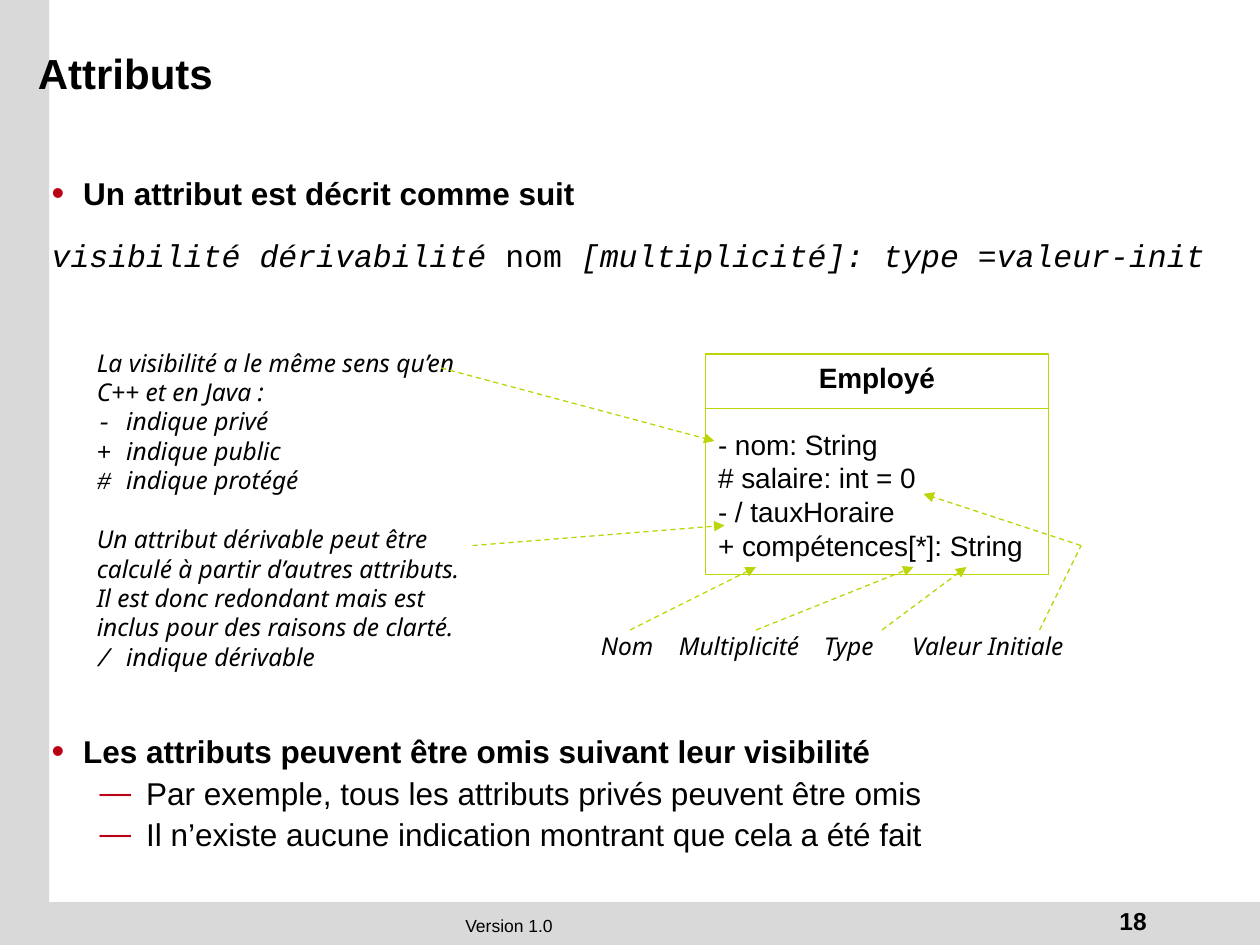
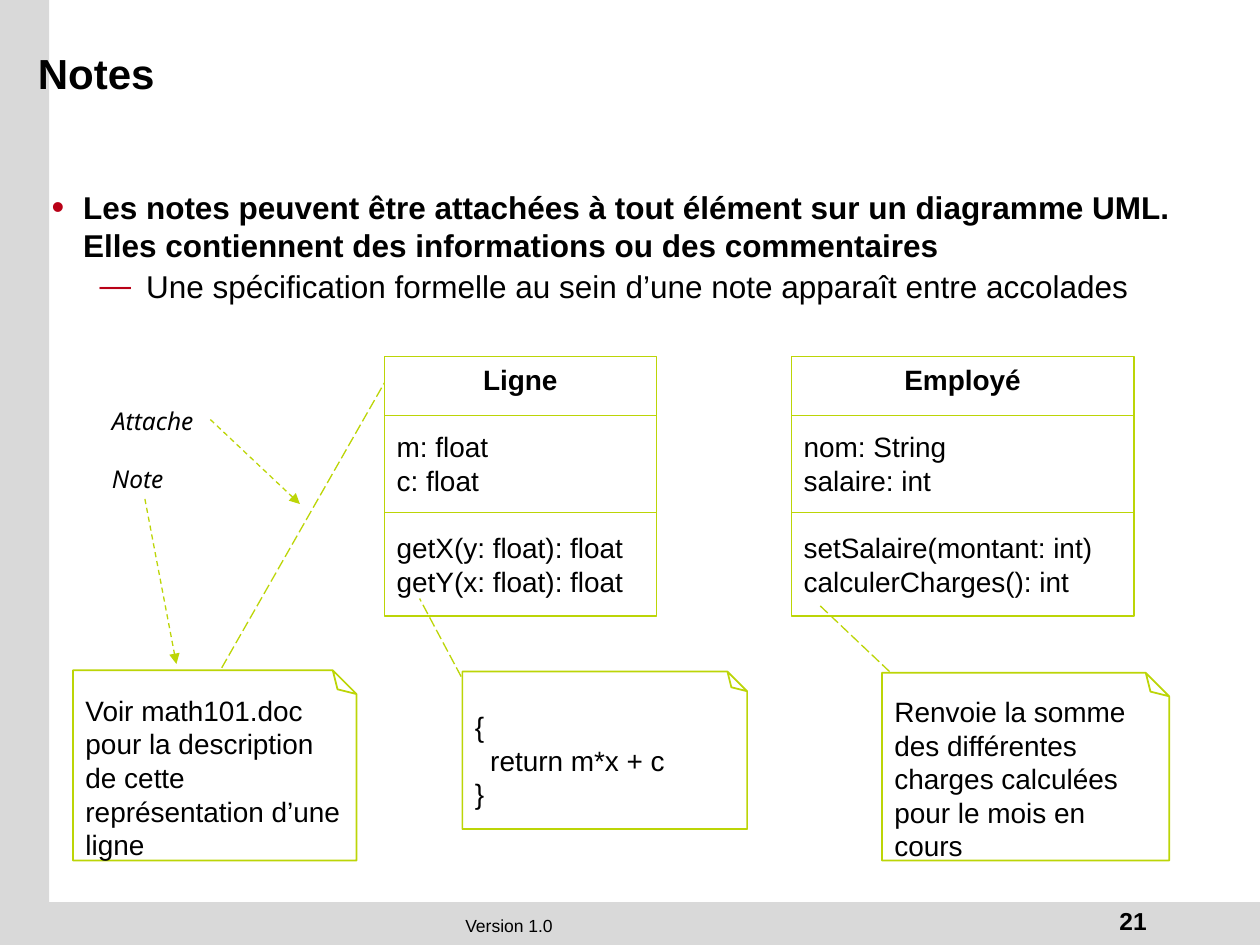
"""Build two French UML lesson slides: attributes and notes."""
from lxml import etree
from pptx import Presentation
from pptx.dml.color import RGBColor
from pptx.enum.dml import MSO_LINE
from pptx.enum.shapes import MSO_CONNECTOR, MSO_SHAPE
from pptx.enum.text import MSO_ANCHOR, MSO_AUTO_SIZE, PP_ALIGN
from pptx.oxml.ns import qn
from pptx.util import Inches, Pt

LEFT, MID, RIGHT = PP_ALIGN.LEFT, PP_ALIGN.CENTER, PP_ALIGN.RIGHT
TOP, CENTRE = MSO_ANCHOR.TOP, MSO_ANCHOR.MIDDLE
DASH, LONG = MSO_LINE.DASH, MSO_LINE.LONG_DASH
RECT, FOLD = MSO_SHAPE.RECTANGLE, MSO_SHAPE.FOLDED_CORNER

COLORS = {"band": "D9D9D9", "ink": "000000", "line": "BCD507",
          "mark": "B90117", "paper": "FFFFFF"}
SANS, MONO, HAND = "Arial", "Courier New", "Noto Sans"
LEAD = 1.2

BANDS = [(0, 0, 0.39, 7.5), (0, 7.16, 10, 0.34)]
VERSION = "Version 1.0"
BULLETS = {"head": (0, "•", 0.25, 0.25, 115), "sub": (1, "—", 0.75, 0.37, 100),
           "code": (0, None, 0.25, 0.25, 100)}

SYNTAX = [("visibilité dérivabilité ", MONO, True), ("nom", MONO, False),
          (" [multiplicité]: type =valeur-init", MONO, True)]


def sign(mark, text):
    return [(mark + " ", MONO, True), (text, HAND, True)]


SLIDES = [
    {
        "title": "Attributs", "page": "18", "body_at": (0.31, 1.33, 9.4, 5.84),
        "body": [
            ("head", "Un attribut est décrit comme suit", 0),
            ("code", SYNTAX, 14),
            ("head", "Les attributs peuvent être omis suivant leur visibilité", 262),
            ("sub", "Par exemple, tous les attributs privés peuvent être omis", 2),
            ("sub", "Il n’existe aucune indication montrant que cela a été fait", 2),
        ],
        "classes": [((5.6, 2.81, 2.72, 1.75), [3.24], [
            ["Employé"],
            ["- nom: String", "# salaire: int = 0", "- / tauxHoraire",
             "+ compétences[*]: String"]])],
        "labels": [
            ((4.67, 4.96, 4.6, 0.4), [0.62, 1.77, 2.47],
             [("Nom\tMultiplicité\tType\tValeur Initiale", 0)]),
            ((0.67, 2.71, 3.14, 2.87), [], [
                ("La visibilité a le même sens qu’en C++ et en Java :", 0),
                (sign("-", "indique privé"), 0),
                (sign("+", "indique public"), 0),
                (sign("#", "indique protégé"), 0),
                ("Un attribut dérivable peut être calculé à partir d’autres attributs. "
                 "Il est donc redondant mais est inclus pour des raisons de clarté.", 1),
                (sign("/", "indique dérivable"), 0)]),
        ],
        "notes": [],
        "arrows": [(3.5, 2.92, 5.67, 3.5), (6, 5, 7.25, 4.5), (7, 5, 7.67, 4.5),
                   (8.58, 4.33, 7.33, 3.92), (5, 5, 6, 4.5), (3.75, 4.33, 5.75, 4.17)],
        "links": [(8.25, 5, 8.58, 4.33, DASH)],
    },
    {
        "title": "Notes", "page": "21", "body_at": (0.31, 1.44, 9.4, 1.03),
        "body": [
            ("head", "Les notes peuvent être attachées à tout élément sur un diagramme "
             "UML. Elles contiennent des informations ou des commentaires", 0),
            ("sub", "Une spécification formelle au sein d’une note apparaît entre "
             "accolades", 2),
        ],
        "classes": [
            ((3.05, 2.83, 2.16, 2.06), [3.3, 4.07], [
                ["Ligne"], ["m: float", "c: float"],
                ["getX(y: float): float", "getY(x: float): float"]]),
            ((6.28, 2.83, 2.72, 2.06), [3.3, 4.07], [
                ["Employé"], ["nom: String", "salaire: int"],
                ["setSalaire(montant: int)", "calculerCharges(): int"]]),
        ],
        "labels": [((0.79, 3.17, 1.44, 0.88), [], [("Attache", 0), ("Note", 1)])],
        "notes": [
            ((0.58, 5.32, 2.25, 1.51),
             "Voir math101.doc pour la description de cette représentation d’une ligne"),
            ((3.67, 5.33, 2.26, 1.25), "{\n  return m*x + c\n}"),
            ((7, 5.34, 2.28, 1.49),
             "Renvoie la somme des différentes charges calculées pour le mois en cours"),
        ],
        "arrows": [(1.67, 3.33, 2.38, 4), (1.15, 3.96, 1.4, 5.27)],
        "links": [(3.66, 5.37, 3.33, 4.75, LONG), (1.76, 5.3, 3.05, 3.04, LONG),
                  (7.06, 5.33, 6.49, 4.79, LONG)],
    },
]


def rgb(name):
    return RGBColor.from_string(COLORS[name])


def inches(nums):
    return [Inches(n) for n in nums]


def add(parent, tag, **attrs):
    return etree.SubElement(parent, qn("a:" + tag), attrs)


def put(par, text, size, font=SANS, bold=False, italic=False, gap=0, align=LEFT):
    if isinstance(text, str):
        par.text = text
        looks = [(font, italic)] * len(par.runs)
    else:
        for part, _, _ in text:
            par.add_run().text = part
        looks = [look[1:] for look in text]
    par.alignment = align
    par.line_spacing = Pt(LEAD * size)
    par.space_before = Pt(gap)
    par.space_after = Pt(0)
    for run, (face, slant) in zip(par.runs, looks):
        run.font.name, run.font.size = face, Pt(size)
        run.font.bold, run.font.italic = bold, slant
        run.font.color.rgb = rgb("ink")


def pars(frame, count):
    frame.text = "\n" * (count - 1)
    return frame.paragraphs


def prep(frame, anchor=TOP):
    frame.word_wrap = True
    frame.auto_size = MSO_AUTO_SIZE.NONE
    frame.vertical_anchor = anchor
    return frame


def box(slide, at):
    return prep(slide.shapes.add_textbox(*inches(at)).text_frame)


def shape(slide, kind, at, fill=None, width=None):
    item = slide.shapes.add_shape(kind, *inches(at))
    item.shadow.inherit = False
    if fill:
        item.fill.solid()
        item.fill.fore_color.rgb = rgb(fill)
    else:
        item.fill.background()
    if width:
        item.line.color.rgb = rgb("line")
        item.line.width = Pt(width)
    else:
        item.line.fill.background()
    return item


def link(slide, ends, dash=None, head=False):
    item = slide.shapes.add_connector(MSO_CONNECTOR.STRAIGHT, *inches(ends))
    item.line.color.rgb = rgb("line")
    item.line.width = Pt(0.75)
    if dash:
        item.line.dash_style = dash
    props = item._element.spPr
    if head:
        add(props.find(qn("a:ln")), "tailEnd", type="triangle")
    add(props, "effectLst")


def bullet(par, kind):
    level, mark, left, hang, scale = BULLETS[kind]
    par.level = level
    props = par._p.get_or_add_pPr()
    props.set("marL", str(Inches(left)))
    props.set("indent", str(-Inches(hang)))
    if mark:
        add(add(props, "buClr"), "srgbClr", val=COLORS["mark"])
        add(props, "buSzPct", val=str(scale * 1000))
        add(props, "buFont", typeface=SANS)
        add(props, "buChar", char=mark)
    else:
        add(props, "buNone")


def frame_deck(slide, layout):
    for spot in list(layout.placeholders)[2:]:
        spot._element.getparent().remove(spot._element)
    start = len(slide.shapes)
    for at in BANDS:
        shape(slide, RECT, at, "band")
    put(box(slide, (0.11, 7.21, 7.86, 0.27)).paragraphs[0], VERSION, 10, align=MID)
    for item in list(slide.shapes)[start:]:
        layout.shapes._spTree.append(item._element)


def heads(slide, data):
    title, body = slide.placeholders[0], slide.placeholders[1]
    spots = [(title, (0.2, 0.18, 8.52, 0.79)), (body, data["body_at"])]
    for item, at in spots:
        item.left, item.top, item.width, item.height = inches(at)
    put(prep(title.text_frame, CENTRE).paragraphs[0], data["title"], 24, bold=True)
    rows = pars(prep(body.text_frame), len(data["body"]))
    for par, (kind, text, gap) in zip(rows, data["body"]):
        put(par, text, 18, bold=kind == "head", gap=gap)
        bullet(par, kind)
    put(box(slide, (7.62, 7.14, 1.58, 0.33)).paragraphs[0], data["page"], 14,
        bold=True, align=RIGHT)


def uml(slide, at, rules, parts):
    frame = prep(shape(slide, RECT, at, "paper", 0.75).text_frame)
    rows = [(i, j, text) for i, part in enumerate(parts) for j, text in enumerate(part)]
    for par, (i, j, text) in zip(pars(frame, len(rows)), rows):
        put(par, text, 16, bold=i == 0, align=LEFT if i else MID,
            gap=LEAD * 16 if i and j == 0 else 0)
    for y in rules:
        link(slide, (at[0], y, at[0] + at[2], y))


def label(slide, at, tabs, rows):
    for par, (text, skip) in zip(pars(box(slide, at), len(rows)), rows):
        put(par, text, 14, HAND, italic=True, gap=skip * LEAD * 14)
        if tabs:
            stops = add(par._p.get_or_add_pPr(), "tabLst")
            for x in tabs:
                add(stops, "tab", pos=str(Inches(x)), algn="l")


def note(slide, at, text):
    item = shape(slide, FOLD, at, width=1)
    props = item._element.spPr
    props.find(qn("a:xfrm")).set("flipV", "1")
    guides = props.find(qn("a:prstGeom")).get_or_add_avLst()
    add(guides, "gd", name="adj", fmla="val 12500")
    frame = prep(item.text_frame, CENTRE)
    frame._txBody.find(qn("a:bodyPr")).set("rot", "10800000")
    rows = text.split("\n")
    for par, row in zip(pars(frame, len(rows)), rows):
        put(par, row, 16)


def main():
    deck = Presentation()
    deck.slide_width, deck.slide_height = Inches(10), Inches(7.5)
    layout = deck.slide_layouts[1]
    for num, data in enumerate(SLIDES):
        slide = deck.slides.add_slide(layout)
        if num == 0:
            frame_deck(slide, layout)
        heads(slide, data)
        for part in data["classes"]:
            uml(slide, *part)
        for part in data["labels"]:
            label(slide, *part)
        for part in data["notes"]:
            note(slide, *part)
        for ends in data["arrows"]:
            link(slide, ends, DASH, True)
        for *ends, dash in data["links"]:
            link(slide, ends, dash)
    deck.save("out.pptx")


if __name__ == "__main__":
    main()
